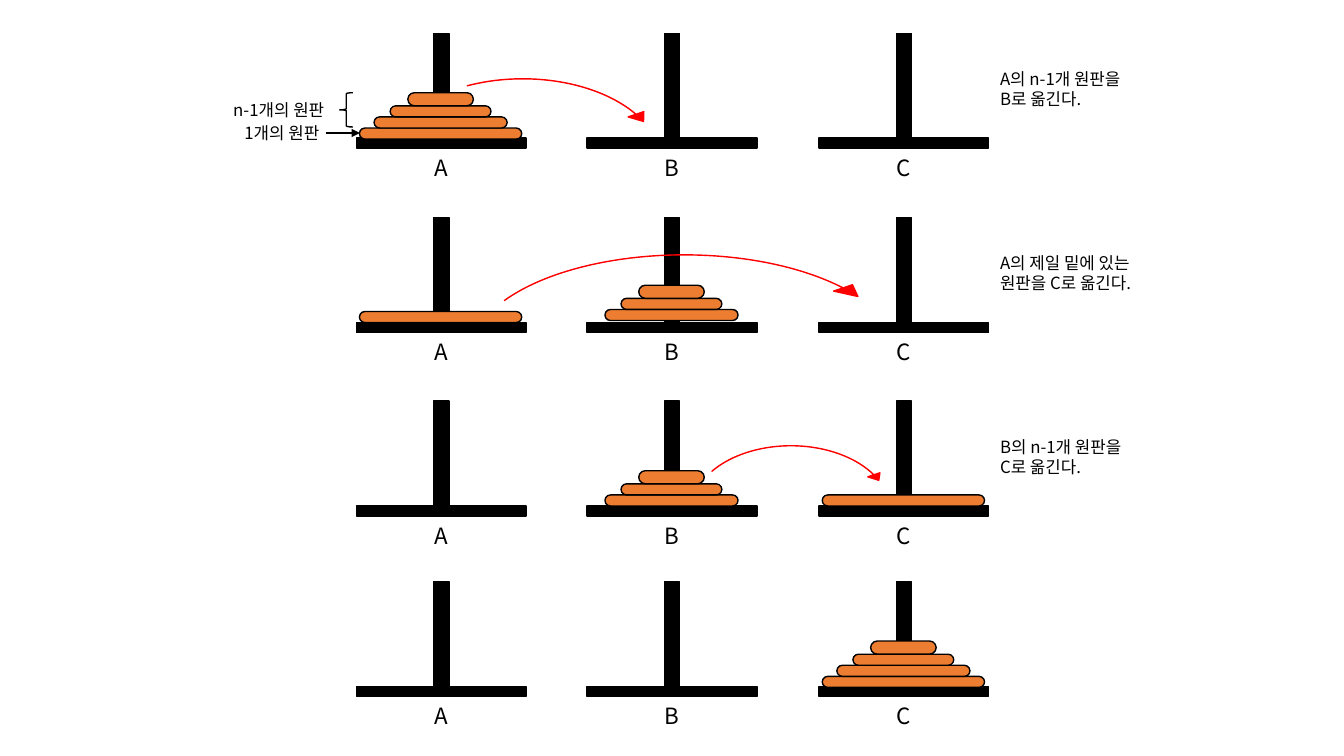
from dataclasses import dataclass

from lxml import etree
from pptx import Presentation
from pptx.dml.color import RGBColor
from pptx.enum import shapes, text
from pptx.oxml import ns
from pptx.util import Inches, Pt


@dataclass(frozen=True)
class Theme:
    font: str = "Noto Sans CJK KR"
    ink: str = "000000"
    disc: str = "ED7D31"
    move: str = "FF0000"
    line: float = 1
    name: float = 16
    note: float = 12


THEME = Theme()
KIND = shapes.MSO_SHAPE
ALIGN = text.PP_ALIGN
PEGS = {"A": 4.37, "B": 6.66, "C": 8.96}
DISCS = [(1.61, 0.11), (1.32, 0.11), (1.0, 0.11), (0.65, 0.13)]
FULL, LARGE, SMALL = DISCS, DISCS[:1], DISCS[1:]
ROWS = [
    (0.56, {"A": (FULL, 0.82)}),
    (2.39, {"A": (LARGE, 0.81), "B": (SMALL, 0.79)}),
    (4.21, {"B": (SMALL, 0.81), "C": (LARGE, 0.81)}),
    (6.0, {"C": (FULL, 0.82)}),
]
MOVES = [
    ((3.73, 0.7, 2.91, 1.82), 140.442),
    ((4.56, 2.43, 4.45, 2.19), 118.182),
    ((6.8, 4.36, 2.09, 1.4), 123.658),
]
NOTES = [
    ("A의 n-1개 원판을 B로 옮긴다.", 1.51),
    ("A의 제일 밑에 있는 원판을 C로 옮긴다.", 1.67),
    ("B의 n-1개 원판을 C로 옮긴다.", 1.51),
]
TAGS = [("n-1개의 원판", 2.16, 0.94), ("1개의 원판", 2.19, 1.17)]


def style(item, values):
    for key, value in values.items():
        setattr(item, key, value)


def shape(slide, kind, box, fill=None, line=THEME.ink, adjust=(), turn=0):
    item = slide.shapes.add_shape(kind, *map(Inches, box))
    item.shadow.inherit = False
    item.rotation = turn
    if fill:
        item.fill.solid()
        item.fill.fore_color.rgb = RGBColor.from_string(fill)
    else:
        item.fill.background()
    item.line.color.rgb = RGBColor.from_string(line)
    item.line.width = Pt(THEME.line)
    for index, value in enumerate(adjust):
        item.adjustments[index] = value


def label(slide, words, box, size, align=ALIGN.CENTER):
    frame = slide.shapes.add_textbox(*map(Inches, box)).text_frame
    style(frame, {"word_wrap": True,
                  "auto_size": text.MSO_AUTO_SIZE.SHAPE_TO_FIT_TEXT})
    para = frame.paragraphs[0]
    para.alignment = align
    run = para.add_run()
    run.text = words
    style(run.font, {"name": THEME.font, "size": Pt(size)})
    run.font.color.rgb = RGBColor.from_string(THEME.ink)
    east = etree.SubElement(run.font._element, ns.qn("a:ea"))
    east.set("typeface", THEME.font)


def peg(slide, name, mid, top):
    shape(slide, KIND.MATH_MINUS, (mid - 0.75, top, 1.51, 0.65),
          THEME.ink, turn=90)
    shape(slide, KIND.MATH_MINUS, (mid - 1.14, top + 0.65, 2.29, 0.42),
          THEME.ink)
    label(slide, name, (mid - 0.6, top + 0.92, 1.21, 0.37), THEME.name)


def stack(slide, discs, mid, base):
    for width, height in discs:
        base -= height
        shape(slide, KIND.ROUNDED_RECTANGLE,
              (mid - width / 2, base, width, height),
              THEME.disc, adjust=[0.5])


def arrow(slide, start, end):
    ends = map(Inches, (*start, *end))
    item = slide.shapes.add_connector(shapes.MSO_CONNECTOR.STRAIGHT, *ends)
    item.line.color.rgb = RGBColor.from_string(THEME.ink)
    item.line.width = Pt(THEME.line)
    tip = etree.SubElement(item.line._get_or_add_ln(), ns.qn("a:tailEnd"))
    tip.set("type", "triangle")
    etree.SubElement(item._element.spPr, ns.qn("a:effectLst"))


def main():
    deck = Presentation()
    style(deck, {"slide_width": Inches(13.33), "slide_height": Inches(7.5)})
    slide = deck.slides.add_slide(deck.slide_layouts[6])
    for top, stacks in ROWS:
        for name, mid in PEGS.items():
            peg(slide, name, mid, top)
        for name, (discs, base) in stacks.items():
            stack(slide, discs, PEGS[name], top + base)
    for words, left, top in TAGS:
        label(slide, words, (left, top, 1.21, 0.3), THEME.note)
    shape(slide, KIND.LEFT_BRACE, (3.37, 0.92, 0.13, 0.34))
    arrow(slide, (3.23, 1.32), (3.57, 1.32))
    for (words, width), (top, _) in zip(NOTES, ROWS):
        label(slide, words, (9.82, top + 0.07, width, 0.5),
              THEME.note, ALIGN.LEFT)
    for box, start in MOVES:
        shape(slide, KIND.CIRCULAR_ARROW, box, THEME.move, THEME.move,
              [0, 2.571, 202.214, start, 0.045])
    deck.save("out.pptx")


main()
